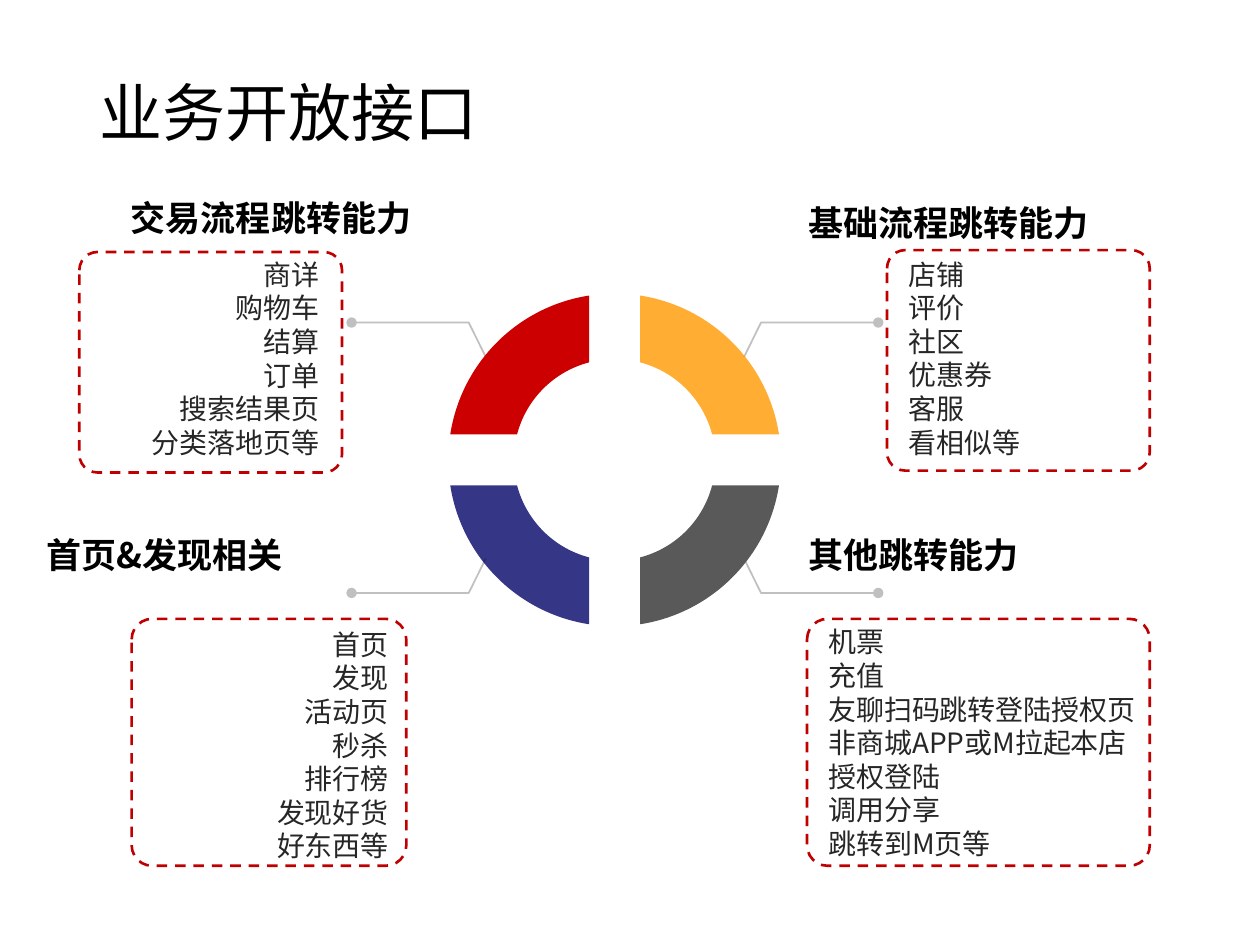
from dataclasses import dataclass
from math import asin, cos, pi, sin, tan

from lxml import etree
from pptx import Presentation
from pptx.dml.color import RGBColor
from pptx.enum.dml import MSO_LINE
from pptx.enum.shapes import MSO_SHAPE
from pptx.enum.text import MSO_ANCHOR, PP_ALIGN
from pptx.oxml.ns import qn
from pptx.util import Inches, Pt

LEFT, RIGHT = PP_ALIGN.LEFT, PP_ALIGN.RIGHT
TOP, MIDDLE, BOTTOM = MSO_ANCHOR.TOP, MSO_ANCHOR.MIDDLE, MSO_ANCHOR.BOTTOM
ROUNDED = MSO_SHAPE.ROUNDED_RECTANGLE
DASH = MSO_LINE.DASH

COLUMNS, ROWS = 100, 75
RING_CENTRE, LEADER_CENTRE = (48.78, 36.5), (48.8, 36.33)
OUTER_RADIUS, INNER_RADIUS, HALF_GAP = 13.2, 8, 2.03
LEADER = [(10.25, 8.0), (11.6, 10.73), (20.9, 10.73)]


@dataclass(frozen=True)
class Theme:
    title_font: str = "Calibri"
    font: str = "Noto Sans CJK SC"
    title_size: int = 36
    heading_size: int = 20
    body_size: int = 16
    body_pitch: float = 19.2
    black: str = "000000"
    body: str = "262626"
    leader: str = "C0C0C0"
    frame: str = "C00000"
    red: str = "CC0000"
    orange: str = "FF9900"
    navy: str = "000066"
    grey: str = "595959"


def write_text(frame, lines, *, size, color, font, east_font, bold=False,
               align=LEFT, spacing=None):
    for index, line in enumerate(lines):
        paragraph = frame.paragraphs[0] if index == 0 else frame.add_paragraph()
        paragraph.alignment = align
        paragraph.line_spacing = spacing
        run = paragraph.add_run()
        run.text = line
        run.font.size = Pt(size)
        run.font.bold = bold
        run.font.color.rgb = RGBColor.from_string(color)
        run.font.name = font
        properties = run._r.get_or_add_rPr()
        etree.SubElement(properties, qn("a:ea"), typeface=east_font)


class SlideBuilder:
    def __init__(self, presentation, theme):
        self.theme = theme
        self.column = presentation.slide_width / COLUMNS
        self.row = presentation.slide_height / ROWS
        self.slide = presentation.slides.add_slide(presentation.slide_layouts[6])

    def place(self, column, row):
        return round(column * self.column), round(row * self.row)

    def text(self, box, lines, anchor=TOP, insets=(0, 0), **style):
        left, top, width, height = box
        shape = self.slide.shapes.add_textbox(
            *self.place(left, top), *self.place(width, height))
        frame = shape.text_frame
        frame.word_wrap = True
        frame.vertical_anchor = anchor
        frame.margin_left = frame.margin_right = Inches(insets[0])
        frame.margin_top = frame.margin_bottom = Inches(insets[1])
        write_text(frame, lines, east_font=self.theme.font, **style)

    def title(self, box, line):
        self.text(box, [line], MIDDLE, (0.1, 0.05), size=self.theme.title_size,
                  color=self.theme.black, font=self.theme.title_font, spacing=0.9)

    def heading(self, box, line, align):
        self.text(box, [line], BOTTOM, size=self.theme.heading_size, bold=True,
                  color=self.theme.black, font=self.theme.font, align=align,
                  spacing=1.2)

    def items(self, box, lines, align):
        self.text(box, lines, size=self.theme.body_size, color=self.theme.body,
                  font=self.theme.font, align=align,
                  spacing=Pt(self.theme.body_pitch))

    def frame(self, box):
        left, top, width, height = box
        shape = self.slide.shapes.add_shape(
            ROUNDED, *self.place(left, top), *self.place(width, height))
        shape.adjustments[0] = 0.083
        shape.shadow.inherit = False
        shape.fill.background()
        shape.line.color.rgb = RGBColor.from_string(self.theme.frame)
        shape.line.width = Pt(1.5)
        shape.line.dash_style = DASH

    def outline(self, centre, offsets, side, close):
        points = [self.place(centre[0] + side[0] * x, centre[1] + side[1] * y)
                  for x, y in offsets]
        builder = self.slide.shapes.build_freeform(*points[0], scale=1.0)
        builder.add_line_segments(points[1:], close=close)
        shape = builder.convert_to_shape()
        shape.shadow.inherit = False
        return shape

    def leader(self, side):
        shape = self.outline(LEADER_CENTRE, LEADER, side, close=False)
        shape.fill.background()
        shape.line.color.rgb = RGBColor.from_string(self.theme.leader)
        shape.line.width = Pt(1)
        etree.SubElement(shape.line._get_or_add_ln(), qn("a:tailEnd"), type="oval")

    def ring_quarter(self, side, color, opacity):
        offsets = arc(OUTER_RADIUS) + arc(INNER_RADIUS)[::-1]
        shape = self.outline(RING_CENTRE, offsets, side, close=True)
        segments = list(shape._element.iter(qn("a:lnTo")))
        bend(segments[0:3])
        bend(segments[4:7])
        shape.line.fill.background()
        shape.fill.solid()
        shape.fill.fore_color.rgb = RGBColor.from_string(color)
        if opacity < 100:
            fill = shape._element.spPr.find(qn("a:solidFill"))
            etree.SubElement(fill[0], qn("a:alpha"), val=str(opacity * 1000))


def bend(segments):
    curve = etree.Element(qn("a:cubicBezTo"))
    segments[0].addprevious(curve)
    for segment in segments:
        curve.append(segment[0])
        segment.getparent().remove(segment)


def arc(radius):
    start = asin(HALF_GAP / radius)
    end = pi / 2 - start
    handle = 4 / 3 * tan((end - start) / 4)
    return [(radius * (cos(angle) - reach * sin(angle)),
             radius * (sin(angle) + reach * cos(angle)))
            for angle, reach in [(start, 0), (start, handle), (end, -handle), (end, 0)]]


def main():
    theme = Theme()
    presentation = Presentation()
    presentation.slide_width, presentation.slide_height = Inches(10), Inches(7.5)
    builder = SlideBuilder(presentation, theme)

    quarters = [
        ((-1, -1), theme.red, 100),
        ((1, -1), theme.orange, 80),
        ((-1, 1), theme.navy, 79),
        ((1, 1), theme.grey, 100),
    ]
    groups = [
        ("交易流程跳转能力", (3.65, 10.8, 29, 8.1), RIGHT,
         ["商详", "购物车", "结算", "订单", "搜索结果页", "分类落地页等"],
         (0, 20.42, 25.35, 17.1), RIGHT, (6.3, 20, 20.85, 17.5)),
        ("基础流程跳转能力", (64.15, 11.2, 33.3, 8.1), LEFT,
         ["店铺", "评价", "社区", "优惠券", "客服", "看相似等"],
         (72.1, 20.42, 25.4, 12.7), LEFT, (70.4, 19.85, 20.85, 17.5)),
        ("首页&发现相关", (3.7, 37.55, 29.5, 8.1), LEFT,
         ["首页", "发现", "活动页", "秒杀", "排行榜", "发现好货", "好东西等"],
         (5.45, 49.8, 25.4, 12.7), RIGHT, (10.45, 49.12, 21.8, 19.6)),
        ("其他跳转能力", (64.15, 37.55, 31.1, 8.1), LEFT,
         ["机票", "充值", "友聊扫码跳转登陆授权页", "非商城APP或M拉起本店授权登陆",
          "调用分享", "跳转到M页等"],
         (65.75, 49.6, 25.4, 18.4), LEFT, (64.05, 49.12, 27.2, 19.6)),
    ]

    builder.title((6.9, 4.9, 84, 8.6), "业务开放接口")
    for side, color, opacity in quarters:
        builder.leader(side)
        builder.ring_quarter(side, color, opacity)
    for heading, heading_box, heading_align, lines, box, align, frame_box in groups:
        builder.heading(heading_box, heading, heading_align)
        builder.items(box, lines, align)
        builder.frame(frame_box)

    presentation.save("out.pptx")


if __name__ == "__main__":
    main()
